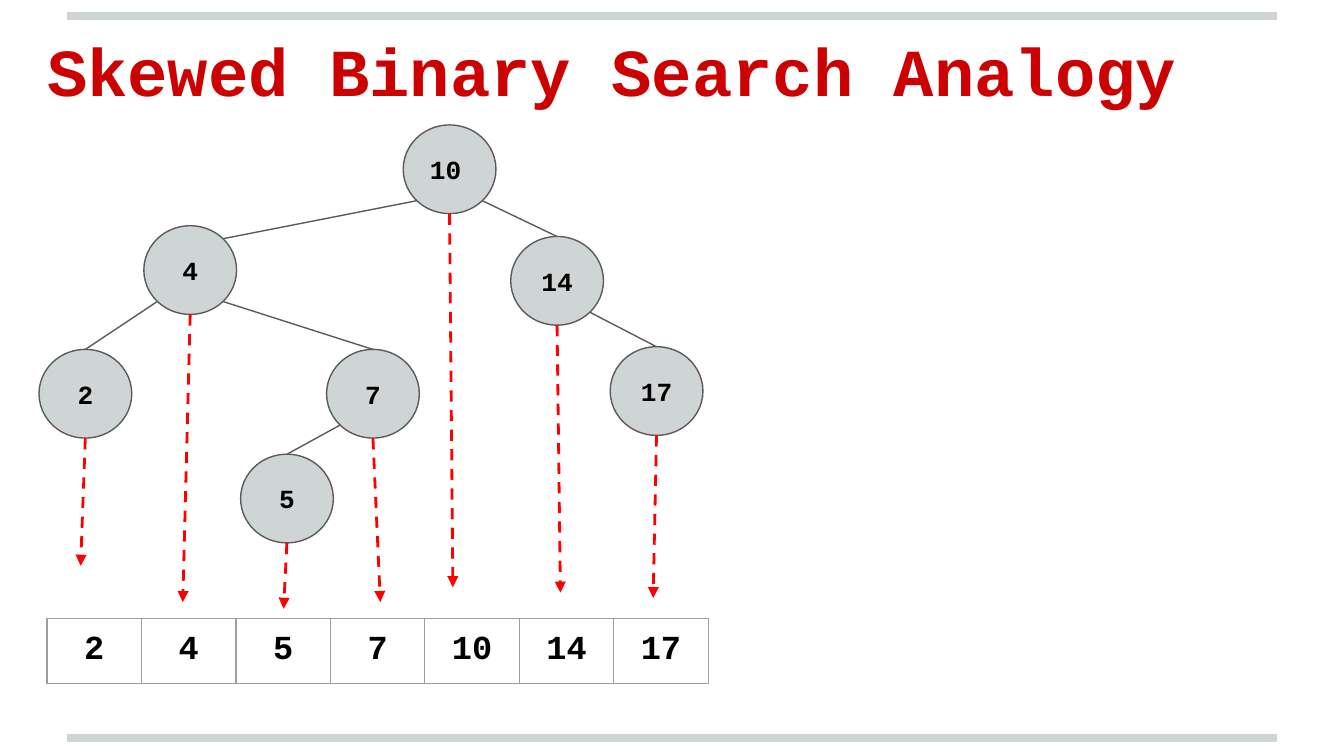
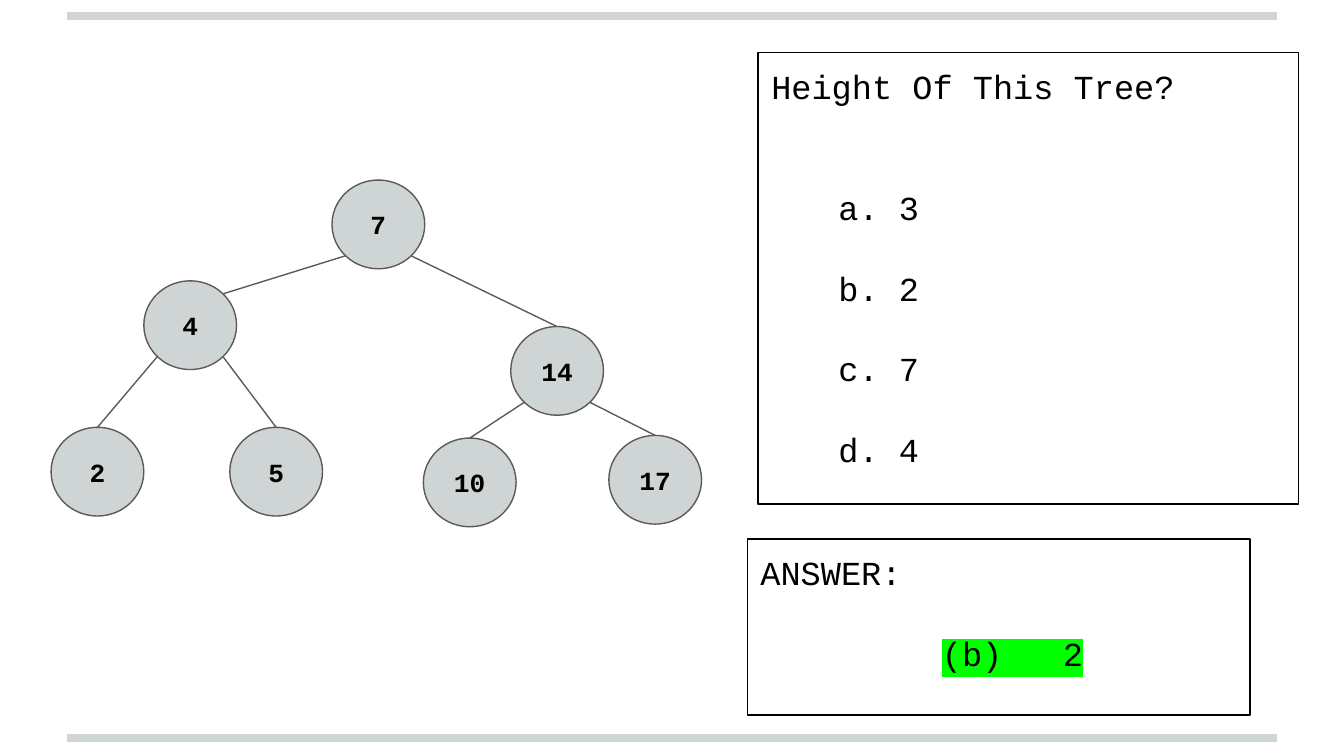
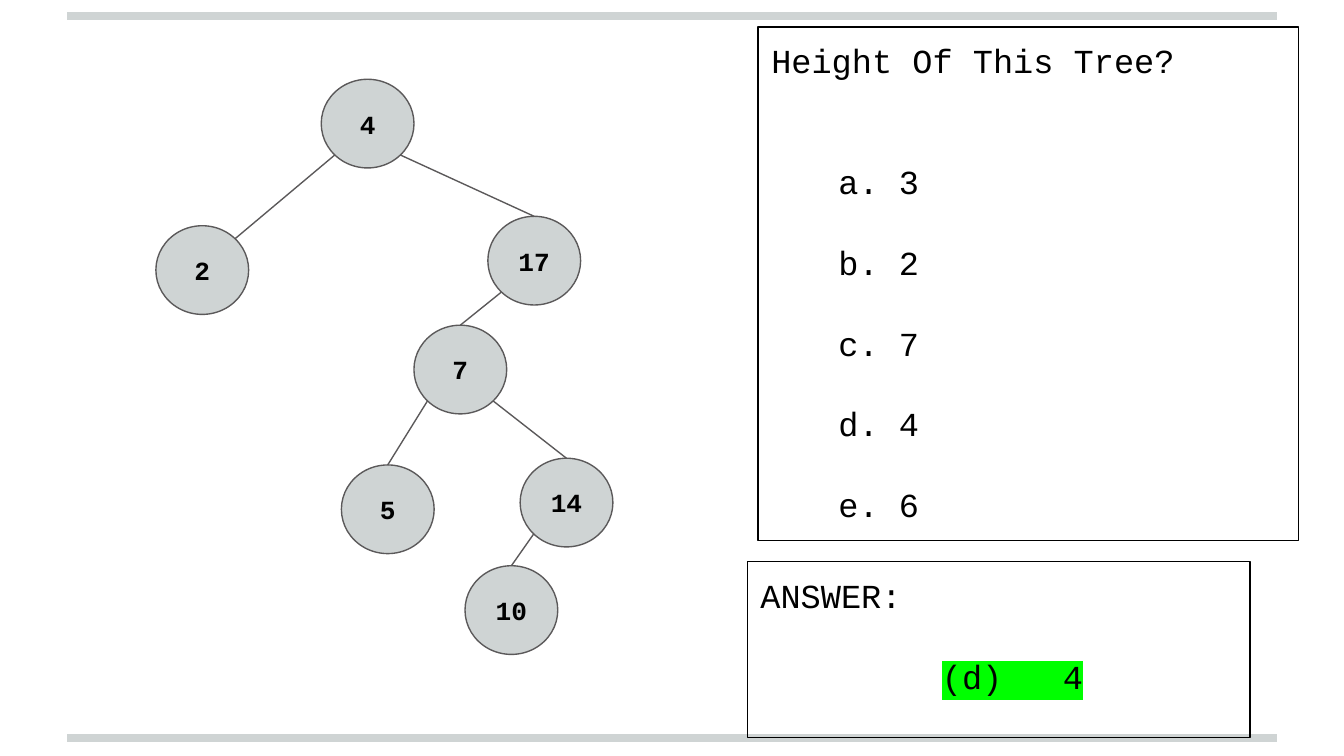
from lxml.etree import SubElement
from pptx import Presentation
from pptx.dml.color import RGBColor
from pptx.enum.dml import MSO_LINE
from pptx.enum.shapes import MSO_CONNECTOR, MSO_SHAPE
from pptx.enum.text import MSO_ANCHOR, PP_ALIGN
from pptx.oxml.ns import qn
from pptx.util import Pt

# Shared style; 100 px to the inch
PX = 9144
SLIDE_WIDTH = 1000
SLIDE_HEIGHT = SLIDE_WIDTH * 9 / 16
FONT = "Courier New"
BLACK, GREY, EDGE, RED = "000000", "CFD4D4", "5B595A", "FF0000"
TITLE_RED, BORDER, HIGHLIGHT = "CC0202", "9E9E9E", "00FF00"
INSET = 10
NODE_WIDTH, NODE_HEIGHT = 69, 66
DIAGONAL = 0.5 ** 0.5
BANDS = [549, 12]
LINE_GAP = 21.6

# Content: node positions are left, top; the first edge leads to the root's left child
TITLE = "Skewed Binary Search Analogy"
SKEWED_TREE = {
    "nodes": {"10": (300, 93), "4": (107, 168), "14": (380, 176), "7": (243, 260),
              "2": (29, 260), "5": (179, 338), "17": (454, 258)},
    "edges": [("10", "4"), ("4", "2"), ("4", "7"), ("7", "5"), ("10", "14"), ("14", "17")],
}
ARROW_TIPS = {"2": (60, 421), "4": (136, 448), "5": (211, 453), "7": (283, 448),
              "10": (337, 437), "14": (417, 441), "17": (486, 445)}
QUIZZES = [
    {
        "nodes": {"7": (247, 134), "4": (107, 209), "14": (380, 243), "5": (171, 318),
                  "2": (38, 318), "10": (315, 326), "17": (453, 324)},
        "edges": [("7", "4"), ("4", "2"), ("4", "5"), ("7", "14"), ("14", "17"), ("14", "10")],
        "options": ["a. 3", "b. 2", "c. 7", "d. 4"],
        "answer": ("(b", ") 2"),
        "question_box": (564, 39, 402, 336),
        "answer_box": (556, 401, 374, 131),
    },
    {
        "nodes": {"4": (239, 59), "2": (116, 168), "17": (363, 161), "7": (308, 242),
                  "10": (346, 421), "5": (254, 346), "14": (387, 341)},
        "edges": [("4", "2"), ("7", "5"), ("4", "17"), ("17", "7"), ("7", "14"), ("14", "10")],
        "options": ["a. 3", "b. 2", "c. 7", "d. 4", "e. 6"],
        "answer": ("(d", ") 4"),
        "question_box": (564, 20, 402, 382),
        "answer_box": (556, 418, 374, 131),
    },
]


def px(*lengths):
    return [round(length * PX) for length in lengths]


def color(value):
    return RGBColor.from_string(value)


def style_font(paragraph, size, bold=False, text_color=BLACK):
    font = paragraph.font
    font.name, font.size, font.bold = FONT, Pt(size), bold
    font.color.rgb = color(text_color)


def set_insets(frame):
    frame.margin_left, frame.margin_top, frame.margin_right, frame.margin_bottom = px(*[INSET] * 4)


def add_line(slide, start, end, line_color, width, arrow=False):
    connector = slide.shapes.add_connector(MSO_CONNECTOR.STRAIGHT, *px(*start, *end))
    connector.line.color.rgb = color(line_color)
    connector.line.width = Pt(width)
    if arrow:
        connector.line.dash_style = MSO_LINE.DASH
        SubElement(connector.element.spPr.find(qn("a:ln")), qn("a:tailEnd"), type="triangle")
    SubElement(connector.element.spPr, qn("a:effectLst"))
    return connector


def add_shape(slide, kind, box, line_color, fill_color=None):
    shape = slide.shapes.add_shape(kind, *px(*box))
    shape.shadow.inherit = False
    shape.line.color.rgb = color(line_color)
    shape.line.width = Pt(0.75)
    if fill_color:
        shape.fill.solid()
        shape.fill.fore_color.rgb = color(fill_color)
    else:
        shape.fill.background()
    set_insets(shape.text_frame)
    return shape


def add_bands(presentation, slide):
    """Draw the two bands and hand them to the master, shared by all slides."""
    for index, y in enumerate(BANDS):
        band = add_line(slide, (50, y), (950, y), GREY, 4)
        band.element.nvCxnSpPr.cNvPr.id = 100 + index
        presentation.slide_master.shapes.element.append(band.element)


# Trees
def node_point(nodes, value, across, down):
    """Point on or in a node, across and down running from -1 to 1."""
    left, top = nodes[value]
    return left + NODE_WIDTH / 2 * (1 + across), top + NODE_HEIGHT / 2 * (1 + down)


def add_tree(slide, nodes, edges):
    shapes = {}
    for value, position in nodes.items():
        box = (*position, NODE_WIDTH, NODE_HEIGHT)
        shape = shapes[value] = add_shape(slide, MSO_SHAPE.OVAL, box, EDGE, GREY)
        shape.text_frame.vertical_anchor = MSO_ANCHOR.MIDDLE
        paragraph = shape.text_frame.paragraphs[0]
        paragraph.text = value
        paragraph.alignment = PP_ALIGN.CENTER
        style_font(paragraph, 14, bold=True)
    for index, (parent, child) in enumerate(edges):
        side = DIAGONAL if nodes[child][0] > nodes[parent][0] else -DIAGONAL
        start = node_point(nodes, parent, side, DIAGONAL)
        child_site = (DIAGONAL, -DIAGONAL) if index == 0 else (0, -1)
        add_line(slide, start, node_point(nodes, child, *child_site), EDGE, 0.75)
    return shapes


# Sorted array
def add_array(slide, values):
    table = slide.shapes.add_table(1, len(values), *px(35, 460, 492, 42)).table
    table.first_row = table.horz_banding = False
    for cell, value in zip(table.iter_cells(), values):
        set_insets(cell)
        paragraph = cell.text_frame.paragraphs[0]
        paragraph.text = value
        paragraph.alignment = PP_ALIGN.CENTER
        style_font(paragraph, 18, bold=True)
        properties = cell._tc.get_or_add_tcPr()
        for side in ("lnL", "lnR", "lnT", "lnB"):
            border = SubElement(properties, qn(f"a:{side}"), w=str(Pt(0.75)))
            SubElement(SubElement(border, qn("a:solidFill")), qn("a:srgbClr"), val=BORDER)
        cell.fill.background()


# Question and answer boxes
def add_text_box(slide, box, heading):
    frame = add_shape(slide, MSO_SHAPE.RECTANGLE, box, BLACK).text_frame
    frame.word_wrap = True
    frame.vertical_anchor = MSO_ANCHOR.TOP
    add_text(frame.paragraphs[0], [heading])
    return frame


def add_text(paragraph, texts, indent=0, space_before=0):
    properties = paragraph._p.get_or_add_pPr()
    properties.set("marL", str(indent * PX))
    properties.set("indent", "0")
    paragraph.alignment = PP_ALIGN.LEFT
    paragraph.space_before = Pt(space_before)
    style_font(paragraph, 18)
    for text in texts:
        paragraph.add_run().text = text


def add_question(slide, box, options):
    frame = add_text_box(slide, box, "Height Of This Tree?")
    for index, option in enumerate(options):
        add_text(frame.add_paragraph(), [option], 50, LINE_GAP if index else 2 * LINE_GAP)


def add_answer(slide, box, answer):
    paragraph = add_text_box(slide, box, "ANSWER:").add_paragraph()
    add_text(paragraph, answer, 135, LINE_GAP)
    for run in paragraph.runs:
        mark = SubElement(run._r.get_or_add_rPr(), qn("a:highlight"))
        SubElement(mark, qn("a:srgbClr"), val=HIGHLIGHT)
    # Letter spacing of one character widens the gap before the number
    paragraph.runs[1]._r.get_or_add_rPr().set("spc", "1080")


def add_analogy_slide(presentation):
    slide = presentation.slides.add_slide(presentation.slide_layouts[5])
    add_bands(presentation, slide)
    title = slide.shapes.title
    title.left, title.top, title.width, title.height = px(25, -2, 900, 94)
    frame = title.text_frame
    set_insets(frame)
    frame.vertical_anchor = MSO_ANCHOR.BOTTOM
    paragraph = frame.paragraphs[0]
    paragraph.text = TITLE
    paragraph.alignment = PP_ALIGN.LEFT
    style_font(paragraph, 36, bold=True, text_color=TITLE_RED)

    nodes = add_tree(slide, **SKEWED_TREE)
    nodes["10"].text_frame.paragraphs[0].alignment = PP_ALIGN.LEFT
    add_array(slide, list(ARROW_TIPS))
    for value, tip in ARROW_TIPS.items():
        start = node_point(SKEWED_TREE["nodes"], value, 0, 1)
        add_line(slide, start, tip, RED, 1.5, arrow=True)


def add_quiz_slide(presentation, quiz):
    slide = presentation.slides.add_slide(presentation.slide_layouts[6])
    add_tree(slide, quiz["nodes"], quiz["edges"])
    add_question(slide, quiz["question_box"], quiz["options"])
    add_answer(slide, quiz["answer_box"], quiz["answer"])


def main():
    presentation = Presentation()
    presentation.slide_width, presentation.slide_height = px(SLIDE_WIDTH, SLIDE_HEIGHT)
    add_analogy_slide(presentation)
    for quiz in QUIZZES:
        add_quiz_slide(presentation, quiz)
    presentation.save("out.pptx")


if __name__ == "__main__":
    main()
